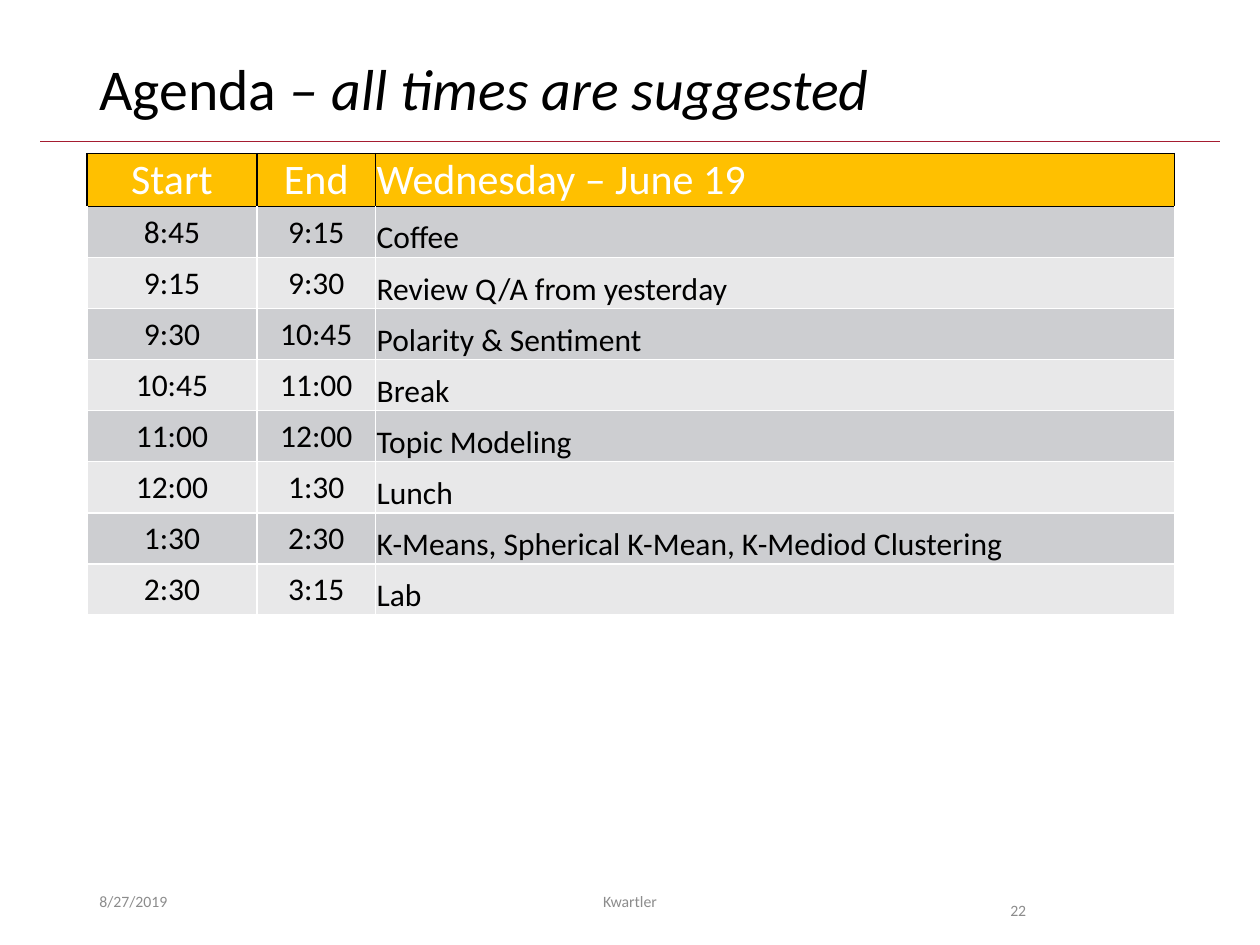
from dataclasses import dataclass

from lxml.etree import SubElement
from pptx import Presentation
from pptx.dml.color import RGBColor
from pptx.enum.shapes import MSO_CONNECTOR
from pptx.enum.text import MSO_ANCHOR as Anchor, PP_ALIGN as Align
from pptx.oxml.ns import qn
from pptx.util import Inches, Pt


@dataclass(frozen=True)
class Theme:
    font: str = "Calibri"
    text: str = "000000"
    white: str = "FFFFFF"
    header: str = "FFC000"
    bands: tuple = ("CDCED1", "E8E8E9")
    rule: str = "A51C30"
    footer: str = "8C8C8C"
    title_size: int = 33
    header_size: int = 24
    body_size: int = 18
    footer_size: int = 9


THEME = Theme()
LEFT = 0.69
COLUMN_WIDTHS = (1.35, 0.94, 6.34)
TABLE_TOP, TABLE_HEIGHT = 1.22, 3.65
HEADINGS = ("Start", "End", "Wednesday – June 19")
SESSIONS = (
    ("8:45", "9:15", "Coffee"),
    ("9:15", "9:30", "Review Q/A from yesterday"),
    ("9:30", "10:45", "Polarity & Sentiment"),
    ("10:45", "11:00", "Break"),
    ("11:00", "12:00", "Topic Modeling"),
    ("12:00", "1:30", "Lunch"),
    ("1:30", "2:30", "K-Means, Spherical K-Mean, K-Mediod Clustering"),
    ("2:30", "3:15", "Lab"),
)


def format_span(span, size, color, italic=False):
    span.font.name = THEME.font
    span.font.size = Pt(size)
    span.font.italic = italic
    span.font.color.rgb = RGBColor.from_string(color)


def add_rule(page):
    rule = page.shapes.add_connector(
        MSO_CONNECTOR.STRAIGHT, Inches(0.32), Inches(1.12), Inches(9.68), Inches(1.12))
    rule.line.color.rgb = RGBColor.from_string(THEME.rule)
    rule.line.width = Pt(0.5)
    SubElement(rule._element.spPr, qn("a:effectLst"))


def set_title(page):
    title = page.shapes.title
    title.left, title.top = Inches(LEFT), Inches(0.4)
    title.width, title.height = Inches(8.62), Inches(0.65)
    title.text_frame.vertical_anchor = Anchor.MIDDLE
    para = title.text_frame.paragraphs[0]
    para.alignment = Align.LEFT
    para.line_spacing = 0.9
    for words, italic in (("Agenda ", False), ("– all times are suggested", True)):
        span = para.add_run()
        span.text = words
        format_span(span, THEME.title_size, THEME.text, italic)


def set_borders(cell, color, top_color):
    properties = cell._tc.get_or_add_tcPr()
    for side in "LRTB":
        line = SubElement(properties, qn(f"a:ln{side}"), w=str(Pt(1)))
        fill = SubElement(line, qn("a:solidFill"))
        SubElement(fill, qn("a:srgbClr"), val=top_color if side == "T" else color)


def fill_cell(cell, words, fill, size, color, align, anchor):
    cell.margin_left = cell.margin_right = cell.margin_top = Inches(0.01)
    cell.margin_bottom = 0
    cell.vertical_anchor = anchor
    cell.fill.solid()
    cell.fill.fore_color.rgb = RGBColor.from_string(fill)
    cell.text = words
    para = cell.text_frame.paragraphs[0]
    para.alignment = align
    format_span(para.runs[0], size, color)


def add_agenda(page):
    rows = (HEADINGS, *SESSIONS)
    table = page.shapes.add_table(
        len(rows), len(COLUMN_WIDTHS), Inches(LEFT), Inches(TABLE_TOP),
        Inches(sum(COLUMN_WIDTHS)), Inches(TABLE_HEIGHT)).table
    for column, width in zip(table.columns, COLUMN_WIDTHS):
        column.width = Inches(width)

    for row_index, row in enumerate(rows):
        is_header = row_index == 0
        fill = THEME.header if is_header else THEME.bands[(row_index - 1) % 2]
        size = THEME.header_size if is_header else THEME.body_size
        color = THEME.white if is_header else THEME.text
        border = THEME.text if is_header else THEME.white
        # The first session shares its top edge with the header
        top_border = THEME.text if row_index <= 1 else THEME.white
        for column_index, words in enumerate(row):
            is_topic = column_index == len(row) - 1
            cell = table.cell(row_index, column_index)
            set_borders(cell, border, top_border)
            fill_cell(cell, words, fill, size, color,
                      Align.LEFT if is_topic else Align.CENTER,
                      Anchor.BOTTOM if is_topic and not is_header else Anchor.MIDDLE)


def add_footer(page, words, left, width, align=Align.LEFT, anchor=Anchor.MIDDLE, spacing=1.0):
    box = page.shapes.add_textbox(Inches(left), Inches(6.95), Inches(width), Inches(0.4))
    frame = box.text_frame
    frame.word_wrap = True
    frame.vertical_anchor = anchor
    frame.text = words
    para = frame.paragraphs[0]
    para.alignment = align
    para.line_spacing = spacing
    format_span(para.runs[0], THEME.footer_size, THEME.footer)


def main():
    deck = Presentation()
    deck.slide_width, deck.slide_height = Inches(10), Inches(7.5)
    page = deck.slides.add_slide(deck.slide_layouts.get_by_name("Title Only"))

    # Heading
    add_rule(page)
    set_title(page)

    # Schedule
    add_agenda(page)

    # Footer: date, author, page number
    add_footer(page, "8/27/2019", LEFT, 2.25)
    add_footer(page, "Kwartler", 3.31, 3.38, align=Align.CENTER)
    add_footer(page, "22", 7.92, 0.94, anchor=Anchor.TOP, spacing=2.0)

    deck.save("out.pptx")


if __name__ == "__main__":
    main()
